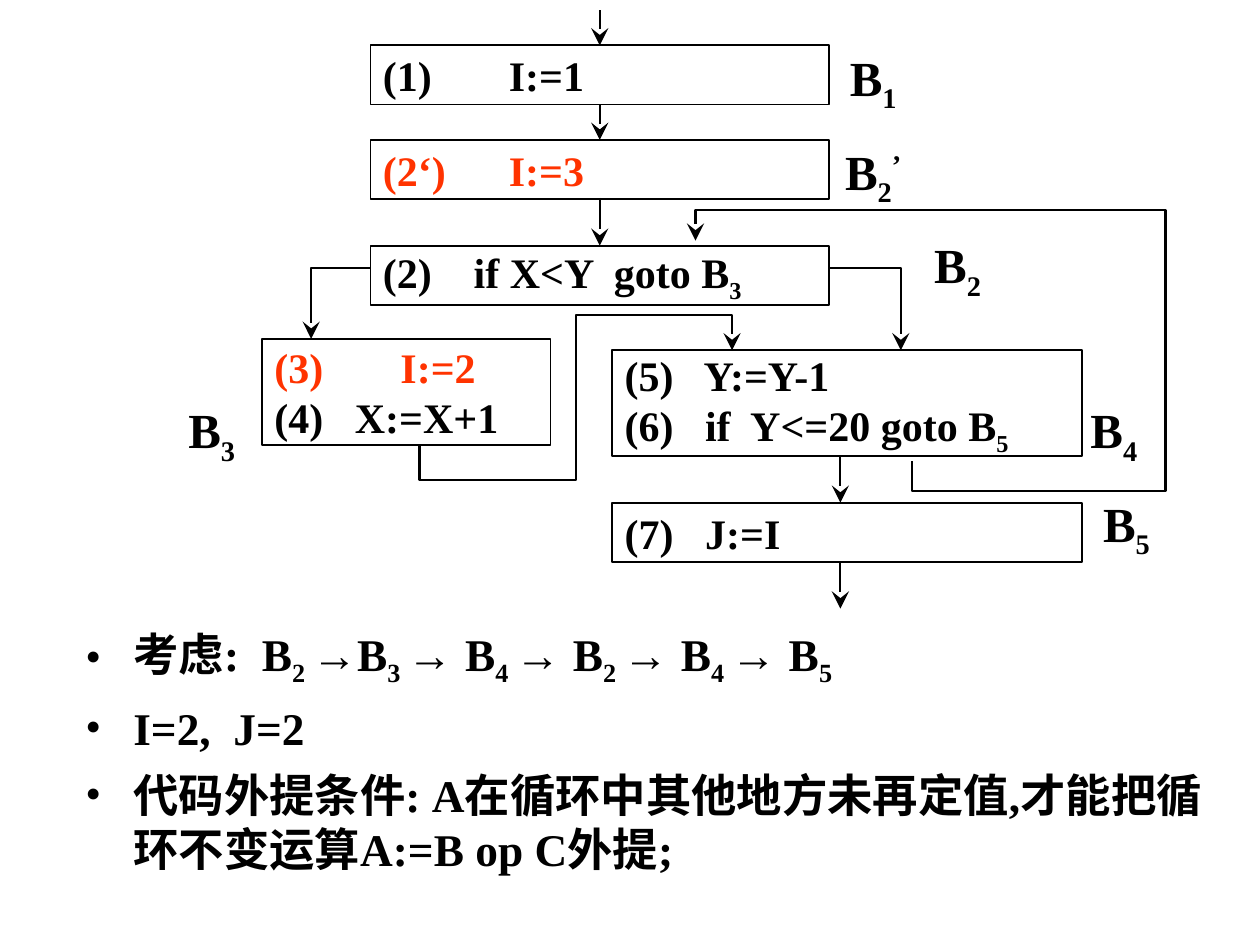
from lxml import etree
from pptx import Presentation
from pptx.dml.color import RGBColor
from pptx.enum.shapes import MSO_CONNECTOR, MSO_SHAPE
from pptx.enum.text import MSO_ANCHOR, PP_ALIGN
from pptx.oxml.ns import qn
from pptx.util import Inches, Pt

BLACK = RGBColor(0x00, 0x00, 0x00)
RED = RGBColor(0xFF, 0x33, 0x00)
RECTANGLE = MSO_SHAPE.RECTANGLE
STRAIGHT = MSO_CONNECTOR.STRAIGHT
MIDDLE, TOP = MSO_ANCHOR.MIDDLE, MSO_ANCHOR.TOP
LEFT, CENTER = PP_ALIGN.LEFT, PP_ALIGN.CENTER


def write(box, lines, size, colors=(BLACK,), align=LEFT, anchor=MIDDLE,
          margin=0.1, bullet=False):
    """Fill a box; "|" parts spans, "_" lowers, "^" raises, "→" is in Arial."""
    frame = box.text_frame
    frame.word_wrap = True
    frame.vertical_anchor = anchor
    frame.margin_left = frame.margin_right = Inches(margin)
    for index, line in enumerate(lines):
        para = frame.paragraphs[0] if index == 0 else frame.add_paragraph()
        para.alignment = align
        props = para._p.get_or_add_pPr()
        if bullet:
            para.space_before = Pt(7)
            props.set("marL", str(Inches(0.38)))
            props.set("indent", str(-Inches(0.38)))
            etree.SubElement(props, qn("a:buFont")).set("typeface", "Times New Roman")
            etree.SubElement(props, qn("a:buChar")).set("char", "•")
        if "\t" in line:
            tabs = etree.SubElement(props, qn("a:tabLst"))
            etree.SubElement(tabs, qn("a:tab"), pos=str(Inches(1)), algn="l")
        for piece in line.split("|"):
            span = para.add_run()
            span.text = piece.lstrip("_^")
            font = span.font
            font.name = "Arial" if piece.startswith("→") else "Times New Roman"
            font.size = Pt(size)
            font.bold = True
            font.color.rgb = colors[min(index, len(colors) - 1)]
            if piece.startswith("→"):
                etree.SubElement(font._element, qn("a:ea")).set("typeface", "Arial")
            baseline = {"_": "-25000", "^": "30000"}.get(piece[0])
            if baseline:
                font._element.set("baseline", baseline)


def add_arrow(points):
    """Draw a line through the points with an arrowhead at the last one."""
    corners = [(Inches(x), Inches(y)) for x, y in points]
    if len(corners) == 2:
        arrow = page.shapes.add_connector(STRAIGHT, *corners[0], *corners[1])
        etree.SubElement(arrow._element.spPr, qn("a:effectLst"))
    else:
        builder = page.shapes.build_freeform(*corners[0], scale=1.0)
        builder.add_line_segments(corners[1:], close=False)
        arrow = builder.convert_to_shape()
        arrow.fill.background()
        arrow.shadow.inherit = False
    arrow.line.color.rgb = BLACK
    arrow.line.width = Pt(1.25)
    etree.SubElement(arrow.line._get_or_add_ln(), qn("a:tailEnd"),
                     type="stealth", w="lg", len="lg")


deck = Presentation()
deck.slide_width, deck.slide_height = Inches(10), Inches(7.5)
page = deck.slides.add_slide(deck.slide_layouts[6])

# Basic blocks of the flow graph
blocks = [
    (2.94, 0.36, 3.64, 0.47, ["(1)\tI:=1"], (BLACK,)),
    (2.94, 1.11, 3.64, 0.47, ["(2‘)\tI:=3"], (RED,)),
    (2.94, 1.95, 3.64, 0.47, ["(2)    if X<Y  goto B|_3"], (BLACK,)),
    (2.08, 2.69, 2.29, 0.84, ["(3)\tI:=2", "(4)   X:=X+1"], (RED, BLACK)),
    (4.86, 2.78, 3.73, 0.84,
     ["(5)   Y:=Y-1", "(6)   if  Y<=20 goto B|_5"], (BLACK,)),
    (4.86, 3.99, 3.73, 0.47, ["(7)   J:=I"], (BLACK,)),
]
for left, top, width, height, lines, colors in blocks:
    box = page.shapes.add_shape(RECTANGLE, Inches(left), Inches(top),
                                Inches(width), Inches(height))
    box.shadow.inherit = False
    box.fill.background()
    box.line.color.rgb = BLACK
    box.line.width = Pt(1)
    write(box, lines, 24, colors)

# Block names
labels = [
    (6.67, 0.36, "B|_1"), (6.67, 1.11, "B|_2|^’"), (7.34, 1.85, "B|_2"),
    (1.42, 3.16, "B|_3"), (8.58, 3.16, "B|_4"), (8.68, 3.9, "B|_5"),
]
for left, top, name in labels:
    box = page.shapes.add_textbox(Inches(left), Inches(top),
                                  Inches(0.52), Inches(0.56))
    write(box, [name], 28, align=CENTER, margin=0)

# Control flow
flows = [
    [(4.76, 0.08), (4.76, 0.36)],
    [(4.76, 0.83), (4.76, 1.11)],
    [(4.76, 1.57), (4.76, 1.95)],
    [(6.67, 3.62), (6.67, 3.99)],
    [(6.67, 4.46), (6.67, 4.83)],
    [(2.94, 2.13), (2.47, 2.13), (2.47, 2.69)],
    [(6.58, 2.13), (7.15, 2.13), (7.15, 2.78)],
    [(7.24, 3.66), (7.24, 3.9), (9.25, 3.9), (9.25, 1.67), (5.52, 1.67),
     (5.52, 1.91)],
    [(3.33, 3.53), (3.33, 3.81), (4.57, 3.81), (4.57, 2.5), (5.81, 2.5),
     (5.81, 2.78)],
]
for points in flows:
    add_arrow(points)

# Conclusions
box = page.shapes.add_textbox(Inches(0.58), Inches(4.92),
                              Inches(9.25), Inches(2.17))
write(box, [
    "考虑:  B|_2 |→|B|_3 |→ |B|_4 |→ |B|_2 |→ |B|_4 |→ |B|_5",
    "I=2,  J=2",
    "代码外提条件: A在循环中其他地方未再定值,才能把循环不变运算A:=B op C外提;",
], 25.9, anchor=TOP, bullet=True)

deck.save("out.pptx")
